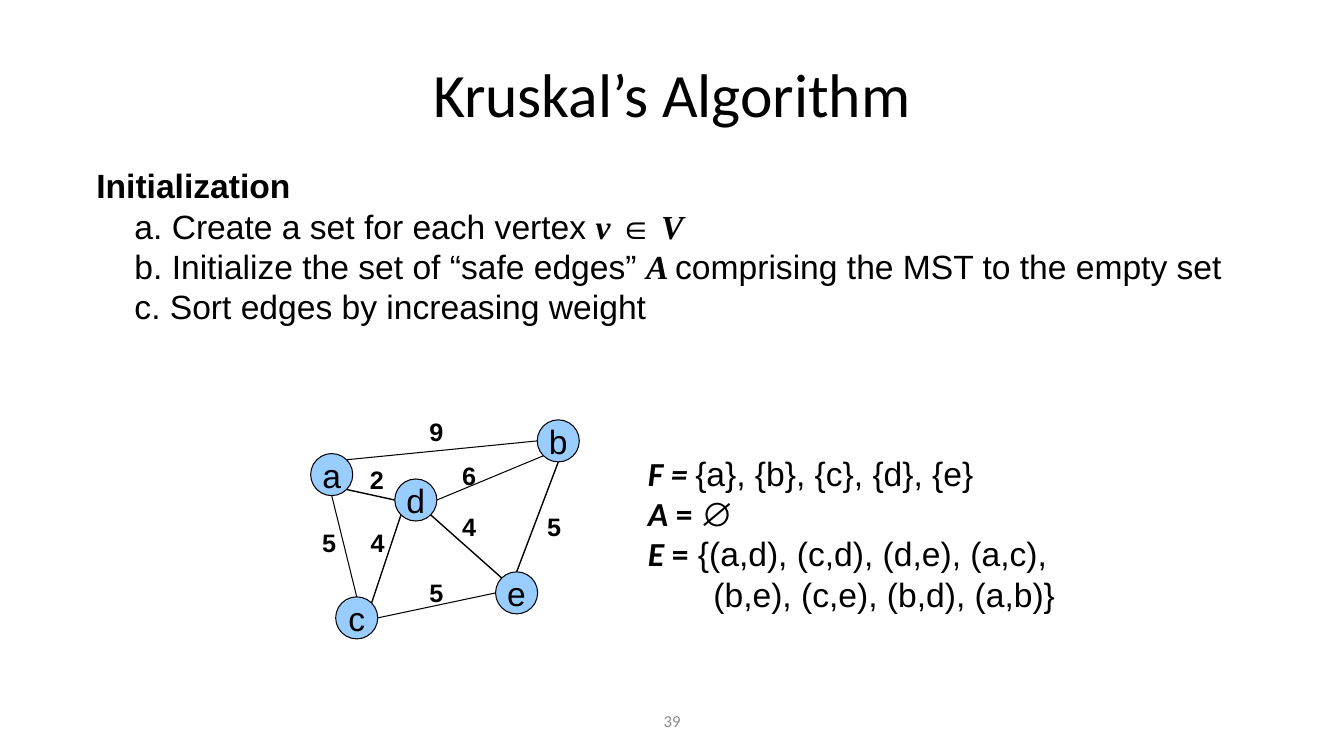
import math
from typing import NamedTuple

import pptx
import pptx.dml.color
import pptx.enum.shapes
import pptx.enum.text
import pptx.oxml
import pptx.util

Cm = pptx.util.Cm
Pt = pptx.util.Pt
RGBColor = pptx.dml.color.RGBColor
PP_ALIGN = pptx.enum.text.PP_ALIGN
MSO_ANCHOR = pptx.enum.text.MSO_ANCHOR

BLACK = RGBColor(0x00, 0x00, 0x00)
GREY = RGBColor(0x8C, 0x8C, 0x8C)
NODE_BLUE = RGBColor(0x99, 0xCC, 0xFF)

SANS, SERIF, HEAD = "Arial", "Times New Roman", "Calibri"
DIAMETER = 1.06  # cm
LABEL_W, LABEL_H = 0.87, 1.02  # cm


class Run(NamedTuple):
    text: str
    font: str = SANS
    bold: bool = False
    italic: bool = False


class Line(NamedTuple):
    runs: list[Run]
    indent: float = 0  # cm


class Node(NamedTuple):
    x: float  # centre, cm
    y: float


class Edge(NamedTuple):
    start: str
    start_angle: int  # degrees, clockwise from the right
    end: str
    end_angle: int
    width: float  # points
    weight: str
    label_x: float  # cm
    label_y: float


NODES = {
    "a": Node(8.36, 11.96),
    "c": Node(8.99, 15.57),
    "e": Node(13.02, 14.94),
    "d": Node(10.48, 12.6),
    "b": Node(14.07, 11.11),
}

EDGES = [
    Edge("a", -45, "b", 180, 0.75, "9", 10.57, 10.36),
    Edge("d", 0, "b", 135, 0.75, "6", 11.4, 11.48),
    Edge("a", 90, "c", -90, 0.75, "5", 7.87, 13.16),
    Edge("a", 45, "d", 180, 1, "2", 9.07, 11.58),
    Edge("c", -45, "d", 135, 1, "4", 9.09, 13.16),
    Edge("d", 45, "e", -135, 1, "4", 11.4, 12.75),
    Edge("b", 90, "e", -90, 1, "5", 13.54, 12.75),
    Edge("e", 180, "c", 0, 0.75, "5", 10.57, 14.43),
]

STEPS = [
    Line([Run("Initialization", bold=True)]),
    Line([Run("a. Create a set for each vertex "), Run("v ", SERIF, True, True),
          Run("∈", SERIF, True), Run(" V", SERIF, True, True)], 0.96),
    Line([Run("b. Initialize the set of “safe edges” "), Run("A ", SERIF, True, True),
          Run("comprising the MST to the empty set")], 0.96),
    Line([Run("c. Sort edges by increasing weight")], 0.96),
]

STATE = [
    Line([Run("F = ", HEAD, True, True), Run("{a}, {b}, {c}, {d}, {e}")]),
    Line([Run("A ", HEAD, True, True), Run("= ", HEAD, True), Run("∅")]),
    Line([Run("E ", HEAD, True, True), Run("=", HEAD, True),
          Run(" {(a,d), (c,d), (d,e), (a,c),")]),
    Line([Run("(b,e), (c,e), (b,d), (a,b)}")], 1.65),
]


def write(sp, lines: list[Line], *, size: float = 24, color: RGBColor = BLACK,
          align=PP_ALIGN.LEFT, anchor=MSO_ANCHOR.TOP, wrap: bool = True) -> None:
    """Fill a shape with formatted lines."""
    tf = sp.text_frame
    tf.word_wrap = wrap
    tf.vertical_anchor = anchor
    for i, line in enumerate(lines):
        p = tf.add_paragraph() if i else tf.paragraphs[0]
        p.alignment = align
        if line.indent:
            pPr = p._p.get_or_add_pPr()
            pPr.set("marL", str(Cm(line.indent)))
            pPr.set("indent", "0")
        for run in line.runs:
            r = p.add_run()
            r.text = run.text
            r.font.name, r.font.size = run.font, Pt(size)
            r.font.bold, r.font.italic = run.bold, run.italic
            r.font.color.rgb = color


def add_text(s, x: float, y: float, w: float, h: float, lines: list[Line], **fmt) -> None:
    write(s.shapes.add_textbox(Cm(x), Cm(y), Cm(w), Cm(h)), lines, **fmt)


def add_node(s, name: str, node: Node) -> None:
    r = DIAMETER / 2
    sp = s.shapes.add_shape(pptx.enum.shapes.MSO_SHAPE.OVAL, Cm(node.x - r),
                            Cm(node.y - r), Cm(DIAMETER), Cm(DIAMETER))
    sp.shadow.inherit = False
    sp.fill.solid()
    sp.fill.fore_color.rgb = NODE_BLUE
    sp.line.color.rgb = BLACK
    sp.line.width = Pt(0.75)
    write(sp, [Line([Run(name)])], align=PP_ALIGN.CENTER,
          anchor=MSO_ANCHOR.MIDDLE, wrap=False)


def rim(name: str, angle: int) -> tuple[int, int]:
    """Point on a node's outline at the given angle."""
    node, t = NODES[name], math.radians(angle)
    r = DIAMETER / 2
    return Cm(node.x + r * math.cos(t)), Cm(node.y + r * math.sin(t))


def add_edge(s, edge: Edge) -> None:
    cxn = s.shapes.add_connector(pptx.enum.shapes.MSO_CONNECTOR.STRAIGHT,
                                 *rim(edge.start, edge.start_angle),
                                 *rim(edge.end, edge.end_angle))
    cxn.line.color.rgb = BLACK
    cxn.line.width = Pt(edge.width)
    cxn._element.spPr.append(pptx.oxml.parse_xml(
        '<a:effectLst xmlns:a="http://schemas.openxmlformats.org/drawingml/2006/main"/>'))


def main() -> None:
    prs = pptx.Presentation()
    prs.slide_width, prs.slide_height = Cm(33.87), Cm(19.05)
    s = prs.slides.add_slide(prs.slide_layouts[6])

    # Slide number, title and steps
    centred = {"align": PP_ALIGN.CENTER, "anchor": MSO_ANCHOR.MIDDLE}
    add_text(s, 11.58, 17.65, 10.72, 1.02, [Line([Run("39", HEAD)])],
             size=12, color=GREY, **centred)
    add_text(s, 1.7, 0.76, 30.48, 3.18, [Line([Run("Kruskal’s Algorithm", HEAD)])],
             size=44, **centred)
    add_text(s, 2.18, 4.04, 29.97, 4.37, STEPS)

    # Weighted graph
    for name, node in NODES.items():
        add_node(s, name, node)
    for edge in EDGES:
        add_edge(s, edge)
    for edge in EDGES:
        add_text(s, edge.label_x, edge.label_y, LABEL_W, LABEL_H,
                 [Line([Run(edge.weight, bold=True)])], size=18, wrap=False)

    # Forest, safe edges and sorted edges
    add_text(s, 16.08, 11.25, 10.9, 4.37, STATE, anchor=MSO_ANCHOR.MIDDLE)

    prs.save("out.pptx")


if __name__ == "__main__":
    main()
